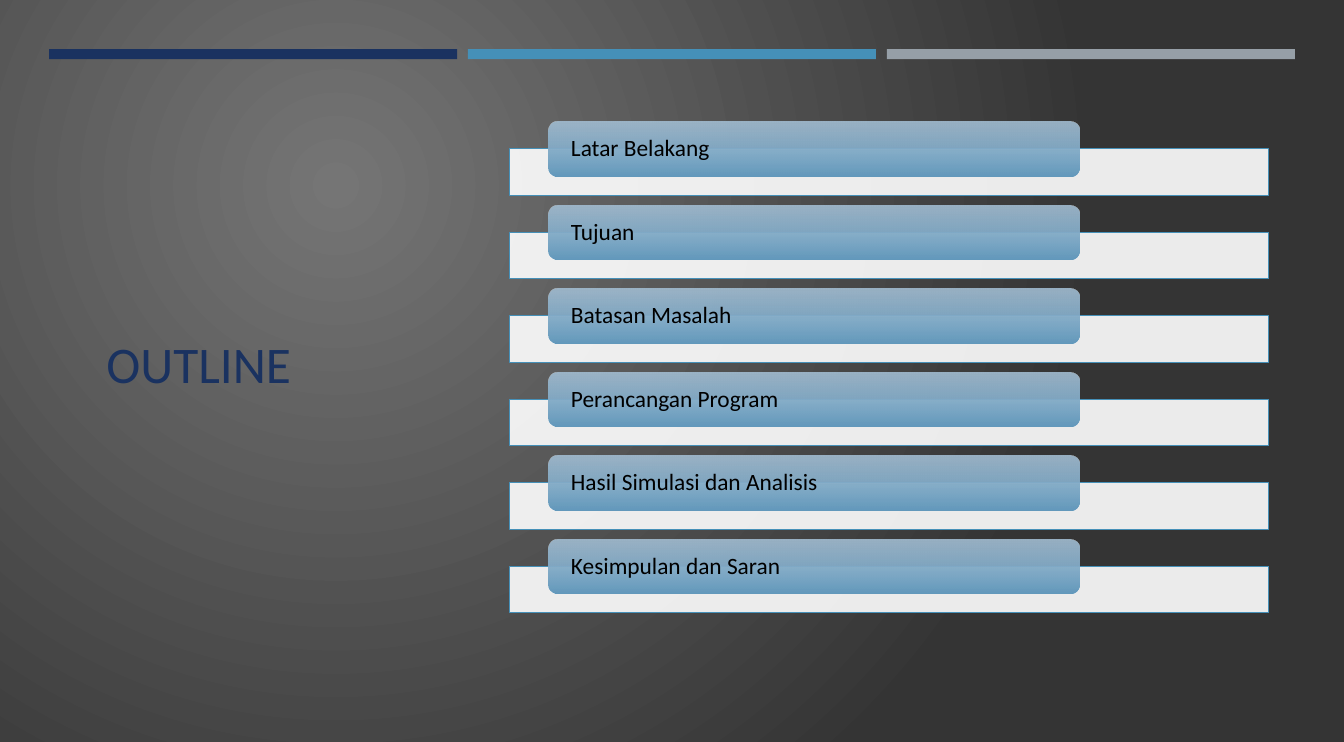
from dataclasses import dataclass

from lxml import etree
from pptx import Presentation
from pptx.dml.color import RGBColor
from pptx.enum import shapes, text
from pptx.oxml.ns import qn
from pptx.util import Inches, Pt


@dataclass(frozen=True)
class Theme:
    font: str = "Calibri"
    title_size: float = 54.9
    topic_size: float = 25
    navy: str = "1A3260"
    blue: str = "4590B8"
    grey: str = "969FA7"
    white: str = "FFFFFF"
    black: str = "000000"
    backdrop: tuple = ("757575", "343434")
    label: tuple = ("A2BDD2", "6399BC")


THEME = Theme()
TOPICS = (
    "Latar Belakang",
    "Tujuan",
    "Batasan Masalah",
    "Perancangan Program",
    "Hasil Simulasi dan Analisis",
    "Kesimpulan dan Saran",
)
TOPIC_TOP, TOPIC_STEP = 1.81, 1.24
STRIP_OFFSET = 0.4
ACCENT_LEFT, ACCENT_STEP = 0.73, 6.22


def set_gradient(fill, colors):
    fill.gradient()
    for stop, color in zip(fill.gradient_stops, colors):
        stop.color.rgb = RGBColor.from_string(color)


def set_opacity(element, percent):
    """Apply opacity to the first RGB colour inside the element."""
    color = element.find(".//" + qn("a:srgbClr"))
    etree.SubElement(color, qn("a:alpha"), val=str(percent * 1000))


def paint_backdrop(slide):
    """Fill the background with a circular gradient centred at upper left."""
    set_gradient(slide.background.fill, THEME.backdrop)
    gradient = slide.element.find(".//" + qn("a:gradFill"))
    gradient.remove(gradient.find(qn("a:lin")))
    circle = etree.SubElement(gradient, qn("a:path"), path="circle")
    edges = {"l": "50000", "t": "50000", "r": "100000", "b": "100000"}
    etree.SubElement(circle, qn("a:fillToRect"), edges)


def add_plain_shape(slide, kind, left, top, width, height):
    shape = slide.shapes.add_shape(kind, *map(Inches, (left, top, width, height)))
    shape.shadow.inherit = False
    shape.line.fill.background()
    return shape


def add_box(slide, left, top, width, height, color):
    box = add_plain_shape(slide, shapes.MSO_SHAPE.RECTANGLE, left, top, width, height)
    box.fill.solid()
    box.fill.fore_color.rgb = RGBColor.from_string(color)
    return box


def write_text(shape, wording, size, color, inset_x, inset_y):
    frame = shape.text_frame
    frame.text = wording
    frame_format = {
        "word_wrap": True,
        "auto_size": text.MSO_AUTO_SIZE.NONE,
        "vertical_anchor": text.MSO_ANCHOR.MIDDLE,
        "margin_left": Inches(inset_x),
        "margin_right": Inches(inset_x),
        "margin_top": Inches(inset_y),
        "margin_bottom": Inches(inset_y),
    }
    for name, value in frame_format.items():
        setattr(frame, name, value)
    line = frame.paragraphs[0]
    line.alignment = text.PP_ALIGN.LEFT
    line.line_spacing = 0.9
    font = line.runs[0].font
    font.name, font.size = THEME.font, Pt(size)
    font.color.rgb = RGBColor.from_string(color)


def add_title(slide, wording):
    title = slide.shapes.title
    place = {"left": 1.38, "top": 1.67, "width": 4.91, "height": 7.57}
    for name, value in place.items():
        setattr(title, name, Inches(value))
    write_text(title, wording, THEME.title_size, THEME.navy, 0.2, 0.1)


def add_topic(slide, wording, top):
    """Add a white strip with a rounded label overlapping its upper edge."""
    strip = add_box(slide, 7.57, top + STRIP_OFFSET, 11.27, 0.69, THEME.white)
    set_opacity(strip.fill._xPr, 90)
    strip.line.color.rgb = RGBColor.from_string(THEME.blue)
    strip.line.width = Pt(1)

    label = add_plain_shape(
        slide, shapes.MSO_SHAPE.ROUNDED_RECTANGLE, 8.14, top, 7.89, 0.81
    )
    set_gradient(label.fill, THEME.label)
    label.fill.gradient_angle = 270
    set_opacity(label.fill._xPr, 90)
    write_text(label, wording, THEME.topic_size, THEME.black, 0.3, 0)


def main():
    deck = Presentation()
    deck.slide_width, deck.slide_height = Inches(19.96), Inches(11.02)
    slide = deck.slides.add_slide(deck.slide_layouts.get_by_name("Title Only"))
    paint_backdrop(slide)
    for column, color in enumerate((THEME.navy, THEME.blue, THEME.grey)):
        add_box(slide, ACCENT_LEFT + column * ACCENT_STEP, 0.73, 6.06, 0.15, color)
    add_title(slide, "OUTLINE")
    for row, topic in enumerate(TOPICS):
        add_topic(slide, topic, TOPIC_TOP + row * TOPIC_STEP)
    deck.save("out.pptx")


if __name__ == "__main__":
    main()
